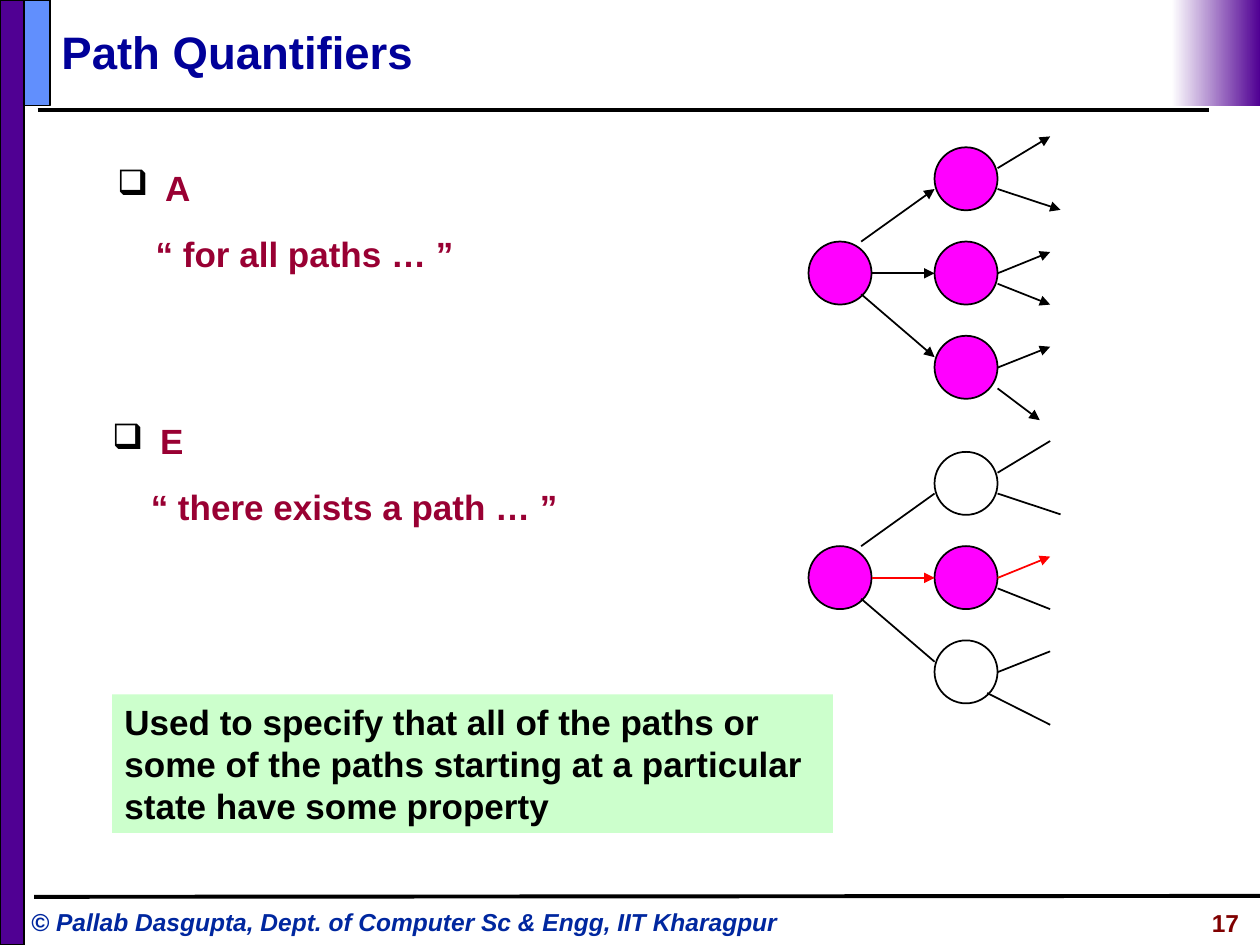
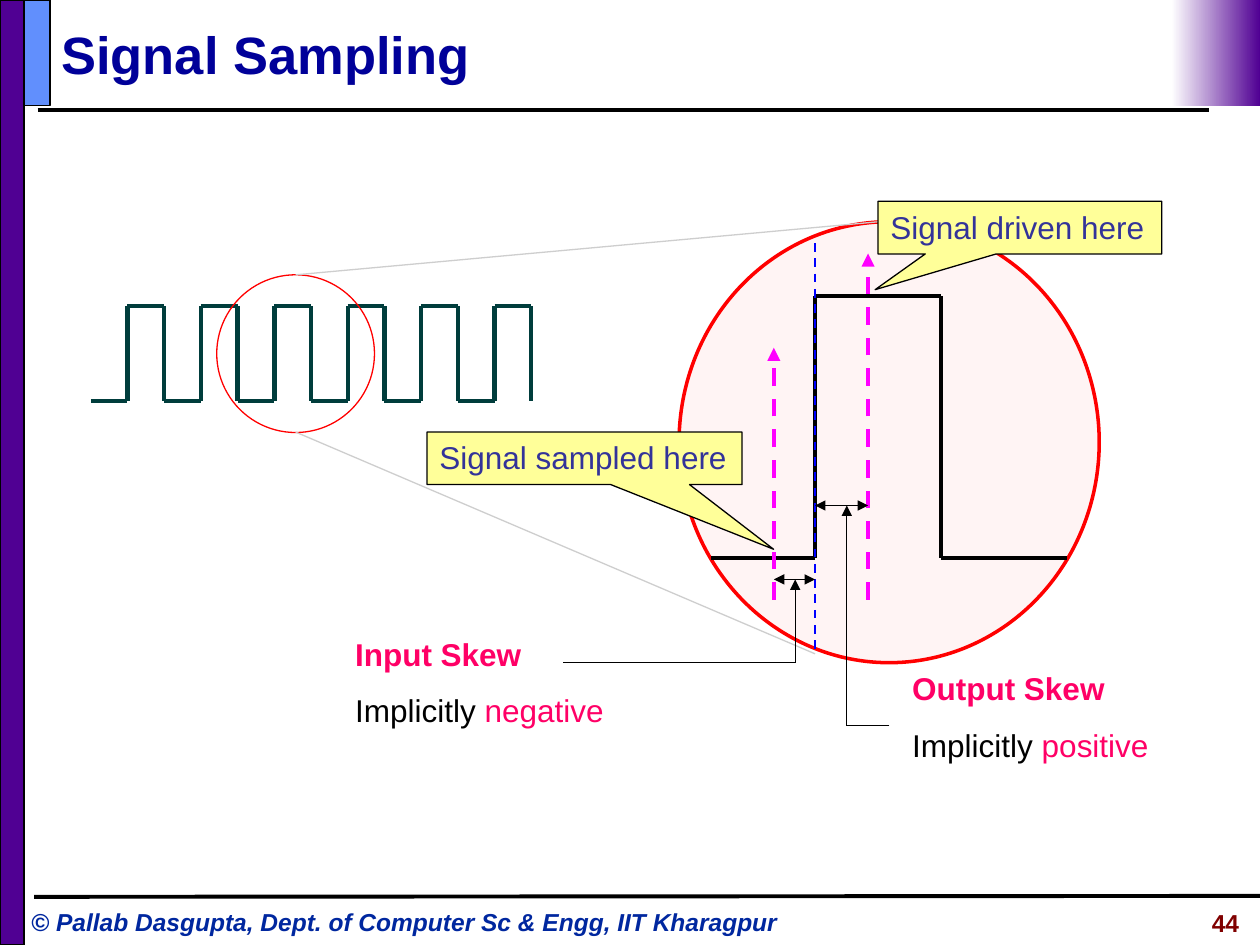
import pptx
import pptx.util
import pptx.dml.color
import pptx.enum.dml
import pptx.enum.shapes
import pptx.enum.text
import pptx.oxml
import pptx.oxml.ns

Cm = pptx.util.Cm
Pt = pptx.util.Pt
KIND = pptx.enum.shapes.MSO_SHAPE
DASH = pptx.enum.dml.MSO_LINE.DASH
ALIGN = pptx.enum.text.PP_ALIGN
ANCHOR = pptx.enum.text.MSO_ANCHOR

FONT = "Arial"
WIDE, HIGH = 25.4, 19.05
HUES = {
    "ink": "000000", "paper": "FFFFFF", "band": "500093", "tab": "618FFD",
    "title": "000099", "credit": "00279F", "page": "800000", "claim": "990033",
    "node": "FF00FF", "hot": "FF0000", "note": "CCFFCC", "lens": "FF9999",
    "wave": "003D3C", "edge": "0000FF", "zoom": "CECECE", "skew": "FF0066",
    "call": "FFFF99", "speech": "333399",
}
CREDIT = "© Pallab Dasgupta, Dept. of Computer Sc & Engg, IIT Kharagpur"

CLAIMS = [
    ((2.11, 3.02), "A", "“ for all paths … ”"),
    ((2.01, 8.13), "E", "“ there exists a path … ”"),
]
USAGE = ("Used to specify that all of the paths or some of the paths "
         "starting at a particular state have some property")
NODE, STEP, GAP = 1.27, 2.54, 1.9
EDGES = [
    (1.06, 0, 2.54, -1.06), (1.27, 0.64, 2.54, 0.64), (1.06, 1.06, 2.54, 2.33),
    (3.81, -1.06, 5.08, -0.64), (3.81, -1.48, 4.87, -2.12),
    (3.81, 0.64, 4.87, 0.21), (3.81, 0.85, 4.87, 1.27),
    (3.81, 2.54, 4.87, 2.12),
]
TREES = [
    {"top": 4.87, "kids": ("node", "node", "node"), "last": (3.81, 2.96, 4.66, 3.6),
     "tone": "ink", "live": range(9)},
    {"top": 11.01, "kids": ("paper", "node", "paper"), "last": (3.6, 2.96, 4.87, 3.6),
     "tone": "hot", "live": (1, 5)},
]

WAVE = {"left": 1.83, "half": 0.74, "low": 8.08, "high": 6.17, "count": 6}
PULSE = [(14.33, 11.25), (16.43, 11.25), (16.43, 5.97),
         (18.97, 5.97), (18.97, 11.25), (21.51, 11.25)]
SAMPLE, CLOCK, DRIVE = 15.6, 16.43, 17.5
ZOOMS = [(5.96, 5.54, 17.93, 4.45), (5.96, 8.71, CLOCK, 13.18)]
SKEWS = [
    {"span": (CLOCK, DRIVE), "y": 10.19, "lead": [(17.93, 14.63), (17.07, 14.63)],
     "box": (18.14, 13.36, 5.92, 2.18), "name": "Output Skew", "sign": "positive",
     "tight": None},
    {"span": (SAMPLE, CLOCK), "y": 11.68, "lead": [(11.35, 13.36), (16.03, 13.36)],
     "box": (6.91, 12.95, 8.05, 1.88), "name": "Input Skew", "sign": "negative",
     "tight": 0.6},
]
CALLS = [
    ((8.61, 8.71, 6.35, 1.06), (0.6, 1.73), "Signal sampled here"),
    ((17.7, 4.06, 5.72, 1.06), (-0.51, 1.18), "Signal driven here"),
]


def hue(name):
    return pptx.dml.color.RGBColor.from_string(HUES[name])


def node(tag, **attrs):
    item = pptx.oxml.parse_xml(f'<a:{tag} {pptx.oxml.ns.nsdecls("a")}/>')
    for key, value in attrs.items():
        item.set(key, str(value))
    return item


def line(shapes, ends, tone="ink", width=1, dash=None, head=False, tail=False):
    link = shapes.add_connector(
        pptx.enum.shapes.MSO_CONNECTOR.STRAIGHT, *map(Cm, ends))
    link.line.color.rgb = hue(tone)
    link.line.width = Pt(width)
    if dash:
        link.line.dash_style = dash
    stroke = link.line._get_or_add_ln()
    for tag, shown in (("headEnd", head), ("tailEnd", tail)):
        if shown:
            stroke.append(node(tag, type="triangle"))
    link._element.spPr.append(node("effectLst"))


def shape(slide, kind, box, fill=None, edge=None, width=1):
    item = slide.shapes.add_shape(kind, *map(Cm, box))
    item.shadow.inherit = False
    if fill:
        item.fill.solid()
        item.fill.fore_color.rgb = hue(fill)
    else:
        item.fill.background()
    if edge:
        item.line.color.rgb = hue(edge)
        item.line.width = Pt(width)
    else:
        item.line.fill.background()
    return item


def text(item, rows, size, anchor=ANCHOR.TOP, align=ALIGN.LEFT, before=0):
    frame = item.text_frame
    frame.word_wrap = True
    frame.vertical_anchor = anchor
    for at, runs in enumerate(rows):
        para = frame.paragraphs[0] if at == 0 else frame.add_paragraph()
        para.alignment = align
        para.space_before = Pt(before)
        for words, tone, bold in runs:
            run = para.add_run()
            run.text = words
            run.font.name = FONT
            run.font.size = Pt(size)
            run.font.bold = bold
            run.font.color.rgb = hue(tone)
    return frame.paragraphs


def label(slide, box, rows, size, **style):
    return text(slide.shapes.add_textbox(*map(Cm, box)), rows, size, **style)


def frame(deck, title, size, top, page):
    slide = deck.slides.add_slide(deck.slide_layouts[6])
    line(slide.shapes, (0.76, 2.21, 24.38, 2.21), width=2.25)
    paras = label(slide, (0.38, 18.16, 16.18, 0.86), [[(CREDIT, "credit", True)]], 14)
    paras[0].runs[0].font.italic = True
    shape(slide, KIND.RECTANGLE, (0, 0, 0.48, HIGH), "band", "ink")
    line(slide.shapes, (0.69, 18.08, WIDE, 18.06), width=2.25)
    shape(slide, KIND.RECTANGLE, (0.48, 0, 0.53, 2.13), "tab", "ink")
    fade = shape(slide, KIND.RECTANGLE, (23.62, 0, 1.78, 2.13)).fill
    fade.gradient()
    fade.gradient_angle = 0
    for stop, tone in zip(fade.gradient_stops, ("paper", "band")):
        stop.color.rgb = hue(tone)
    label(slide, (0.99, top, 23.11, 1.55), [[(title, "title", True)]], size,
          anchor=ANCHOR.MIDDLE)
    label(slide, (20.78, 18.19, 4.45, 0.89), [[(page, "page", True)]], 14,
          align=ALIGN.RIGHT)
    return slide


def claim(slide, spot, mark, words):
    rows = [[(mark, "claim", True)], [(words, "claim", True)]]
    paras = label(slide, (*spot, 12.12, 3.2), rows, 20, before=7.5)
    for para, left, first in zip(paras, (0.97, 0.78), (-0.97, 0)):
        para.line_spacing = 1.25
        props = para._p.get_or_add_pPr()
        props.set("marL", str(Cm(left)))
        props.set("indent", str(Cm(first)))
    props = paras[0]._p.get_or_add_pPr()
    tint = node("buClr")
    tint.append(node("srgbClr", val=HUES["ink"]))
    props.append(tint)
    props.append(node("buChar", char="❑"))


def tree(slide, plan):
    left, top = 16.3, plan["top"]
    shape(slide, KIND.OVAL, (left, top, NODE, NODE), "node", "ink")
    for row, fill in enumerate(plan["kids"]):
        shape(slide, KIND.OVAL, (left + STEP, top + (row - 1) * GAP, NODE, NODE),
              fill, "ink")
    for at, (x1, y1, x2, y2) in enumerate(EDGES + [plan["last"]]):
        live = at in plan["live"]
        line(slide.shapes, (left + x1, top + y1, left + x2, top + y2),
             plan["tone"] if live else "ink", tail=live)


def chain(shapes, spots, **style):
    for start, end in zip(spots, spots[1:]):
        line(shapes, (*start, *end), **style)


def paths(deck):
    slide = frame(deck, "Path Quantifiers", 26, 0.25, "17")
    for item in CLAIMS:
        claim(slide, *item)
    for plan in TREES:
        tree(slide, plan)
    note = shape(slide, KIND.RECTANGLE, (2.26, 14, 14.53, 2.79), "note")
    text(note, [[(USAGE, "ink", True)]], 20, before=12.5)


def signal(deck):
    slide = frame(deck, "Signal Sampling", 30, 0.3, "44")
    lens = shape(slide, KIND.OVAL, (13.69, 4.47, 8.47, 8.89), "lens", "hot", 2)
    tint = lens._element.spPr.find(".//" + pptx.oxml.ns.qn("a:srgbClr"))
    tint.append(node("alpha", val=10000))

    half, low, high = WAVE["half"], WAVE["low"], WAVE["high"]
    for turn in range(WAVE["count"]):
        x = WAVE["left"] + 2 * half * turn
        group = slide.shapes.add_group_shape()
        chain(group.shapes, [(x, low), (x + half, low), (x + half, high),
                             (x + 2 * half, high), (x + 2 * half, low)],
              tone="wave", width=2.5)
    shape(slide, KIND.OVAL, (4.37, 5.54, 3.18, 3.18), None, "hot", 0.75)

    chain(slide.shapes, PULSE, width=2.5)
    line(slide.shapes, (CLOCK, 4.9, CLOCK, 13.16), "edge", 1.25, DASH)
    for x, tip in ((SAMPLE, 7.01), (DRIVE, 5.11)):
        line(slide.shapes, (x, 12.09, x, tip), "node", 2.5, DASH, tail=True)
    for ends in ZOOMS:
        line(slide.shapes, ends, "zoom", 0.75)

    for skew in SKEWS:
        (x1, x2), y = skew["span"], skew["y"]
        line(slide.shapes, (x1, y, x2, y), width=0.75, head=True, tail=True)
        start, bend = skew["lead"]
        line(slide.shapes, (*start, *bend), width=0.75)
        line(slide.shapes, (*bend, bend[0], y), width=0.75, tail=True)
        rows = [[(skew["name"], "skew", True)],
                [("Implicitly ", "ink", False), (skew["sign"], "skew", False)]]
        paras = label(slide, skew["box"], rows, 18, before=11.2)
        if skew["tight"]:
            paras[0].line_spacing = skew["tight"]

    for box, tip, words in CALLS:
        call = shape(slide, KIND.RECTANGULAR_CALLOUT, box, "call", "ink", 0.75)
        call.adjustments[0], call.adjustments[1] = tip
        text(call, [[(words, "speech", False)]], 18, before=11.2)


def main():
    deck = pptx.Presentation()
    deck.slide_width, deck.slide_height = Cm(WIDE), Cm(HIGH)
    paths(deck)
    signal(deck)
    deck.save("out.pptx")


if __name__ == "__main__":
    main()
